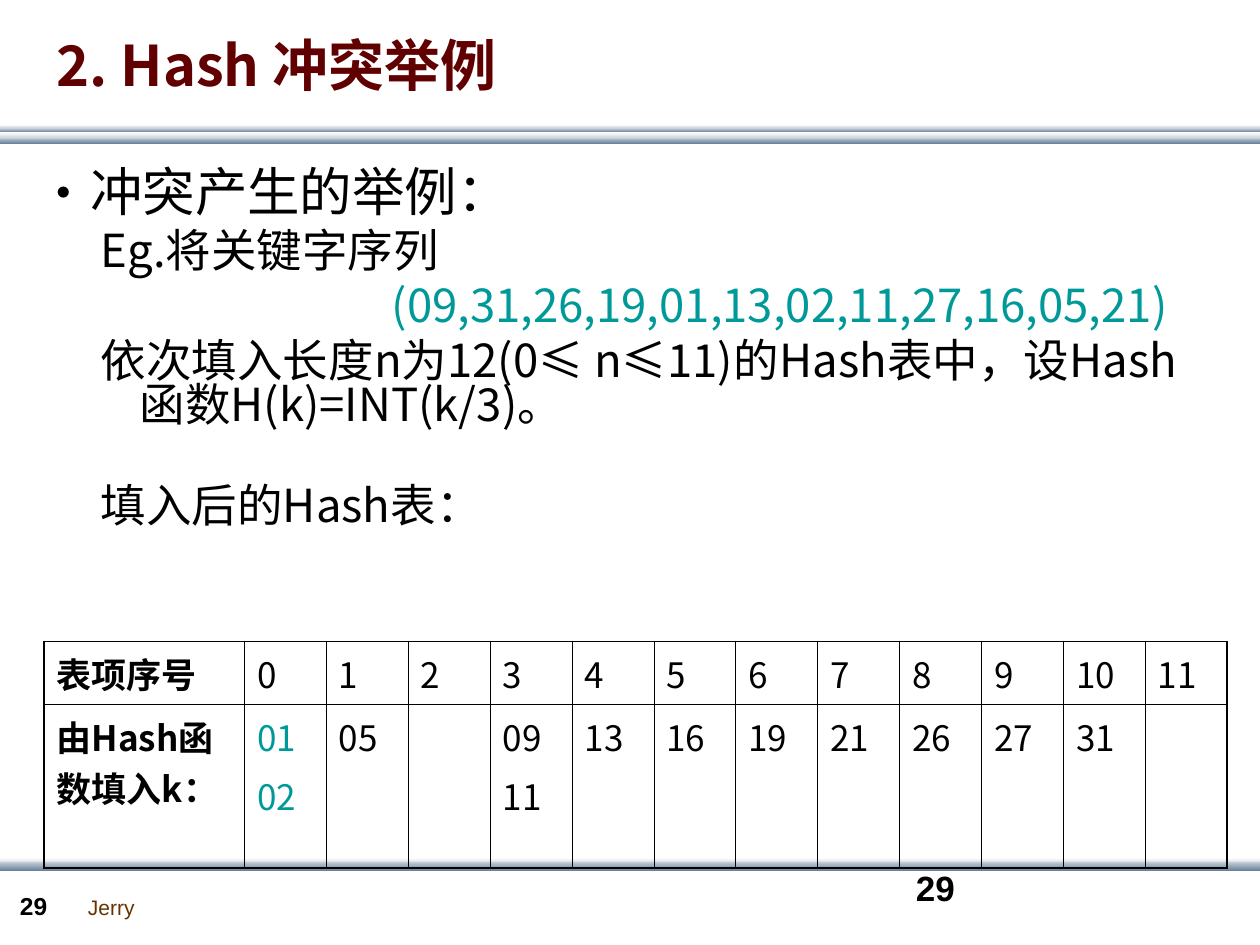
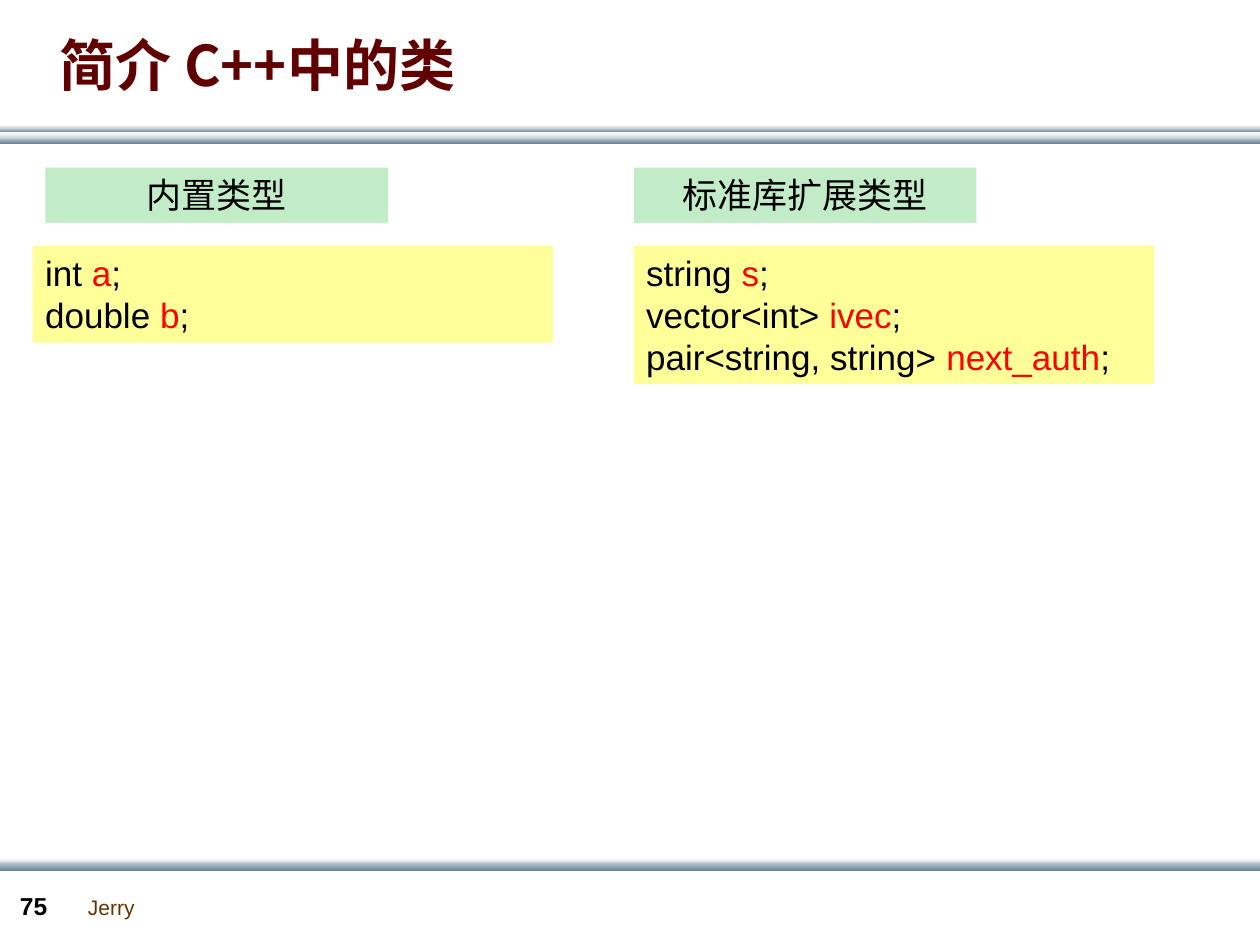
import lxml.etree
import pptx
import pptx.dml.color
import pptx.enum.shapes
import pptx.enum.text
import pptx.oxml.ns
import pptx.util

Inches = pptx.util.Inches
Pt = pptx.util.Pt
ALIGN = pptx.enum.text.PP_ALIGN
ANCHOR = pptx.enum.text.MSO_ANCHOR
RECT = pptx.enum.shapes.MSO_SHAPE.RECTANGLE
qn = pptx.oxml.ns.qn

CJK = "Noto Sans CJK SC"
COLORS = {
    "title": "600000",
    "text": "000000",
    "keys": "009999",
    "variable": "FF0000",
    "author": "663300",
    "label": "C2EBC7",
    "code": "FFFF99",
    "white": "FFFFFF",
    "light": "C8D1DA",
    "steel": "6A839C",
}


def rgb(name):
    return pptx.dml.color.RGBColor.from_string(COLORS[name])


def write(tf, text, size=20, font=CJK, color="text", bold=False, align=ALIGN.LEFT,
          before=0, spacing=None, left=0, indent=0, bullet=None, new=False):
    p = tf.add_paragraph() if new else tf.paragraphs[0]
    pPr = p._p.get_or_add_pPr()
    pPr.set("marL", str(Inches(left)))
    pPr.set("indent", str(Inches(indent)))
    if bullet:
        lxml.etree.SubElement(pPr, qn("a:buFont")).set("typeface", CJK)
        lxml.etree.SubElement(pPr, qn("a:buChar")).set("char", bullet)
    else:
        lxml.etree.SubElement(pPr, qn("a:buNone"))
    p.alignment = align
    p.space_before = Pt(before)
    if spacing:
        p.line_spacing = spacing
    for words, tint in [(text, color)] if isinstance(text, str) else text:
        r = p.add_run()
        r.text = words
        r.font.size = Pt(size)
        r.font.bold = bold
        r.font.color.rgb = rgb(tint)
        r.font.name = font
        lxml.etree.SubElement(r._r.get_or_add_rPr(), qn("a:ea")).set("typeface", CJK)


prs = pptx.Presentation()
prs.slide_width = Inches(10)
prs.slide_height = Inches(7.5)

bands = [
    (1.09, 0.05, "light", "steel"),
    (1.02, 0.03, "light", "steel"),
    (1.05, 0.05, "white", "light"),
    (0.99, 0.03, "white", "light"),
    (6.81, 0.05, "white", "light"),
    (6.84, 0.07, "light", "steel"),
]
pages = [
    ("2. Hash 冲突举例", "29", (0.35, 0.16, 9, 0.69)),
    ("简介 C++中的类", "75", (0.37, 0.04, 9, 0.93)),
]
for title, number, place in pages:
    s = prs.slides.add_slide(prs.slide_layouts[5])
    for top, height, start, end in bands:
        sp = s.shapes.add_shape(RECT, 0, Inches(top), Inches(10.01), Inches(height))
        sp.shadow.inherit = False
        sp.line.fill.background()
        sp.fill.gradient()
        sp.fill.gradient_angle = 270
        for stop, name, position in zip(sp.fill.gradient_stops, (start, end), (0, 1)):
            stop.color.rgb = rgb(name)
            stop.position = position

    author = s.shapes.add_textbox(Inches(0.6), Inches(7.05), Inches(0.57), Inches(0.3))
    write(author.text_frame, "Jerry", size=12, font="Arial", color="author")
    page = s.shapes.add_textbox(Inches(0.06), Inches(7.02), Inches(0.55), Inches(0.34))
    page.text_frame.word_wrap = True
    write(page.text_frame, number, size=14, font="Arial", bold=True)

    sp = s.shapes.title
    sp.left, sp.top, sp.width, sp.height = [Inches(v) for v in place]
    sp.text_frame.vertical_anchor = ANCHOR.MIDDLE
    write(sp.text_frame, title, size=32, color="title", bold=True)

hash_slide, class_slide = prs.slides

sp = hash_slide.shapes.add_textbox(Inches(7.17), Inches(6.83), Inches(2.33), Inches(0.5))
sp.text_frame.word_wrap = True
write(sp.text_frame, "29", font="Arial", bold=True)

sp = hash_slide.shapes.add_textbox(Inches(0.2), Inches(1.31), Inches(9.45), Inches(3.54))
tf = sp.text_frame
tf.word_wrap = True
write(tf, "冲突产生的举例：", size=30, spacing=0.8, left=0.38, indent=-0.38, bullet="•")
example = [
    ("Eg.将关键字序列", "text", 0.81, -0.31, 6.5),
    ("(09,31,26,19,01,13,02,11,27,16,05,21)", "keys", 2.81, 0, 6.5),
    ("依次填入长度n为12(0≤ n≤11)的Hash表中，设Hash函数H(k)=INT(k/3)。",
     "text", 0.81, -0.31, 6.5),
    ("填入后的Hash表：", "text", 0.81, -0.31, 33),
]
for text, color, left, indent, before in example:
    write(tf, text, size=26, color=color, spacing=0.8, left=left, indent=indent,
          before=before, new=True)

hash_rows = [
    ["表项序号"] + [str(i) for i in range(12)],
    ["由Hash函数填入k：", "01 02", "05", "", "09 11", "13", "16", "19", "21", "26",
     "27", "31", ""],
]
frame = hash_slide.shapes.add_table(2, 13, Inches(0.35), Inches(5.09), Inches(9.39),
                                    Inches(1.8))
table = frame.table
table.first_row = table.horz_banding = False
for i, column in enumerate(table.columns):
    column.width = Inches(0.65 if i else 1.59)
for row, height in zip(table.rows, (0.5, 1.3)):
    row.height = Inches(height)
for i, values in enumerate(hash_rows):
    for j, value in enumerate(values):
        cell = table.cell(i, j)
        tcPr = cell._tc.get_or_add_tcPr()
        outer = {"lnL": j == 0, "lnR": j == 12, "lnT": i == 0, "lnB": i == 1}
        for side, is_outer in outer.items():
            ln = lxml.etree.SubElement(tcPr, qn("a:" + side))
            ln.set("w", str(Pt(1.08 if is_outer else 0.45)))
            fill = lxml.etree.SubElement(ln, qn("a:solidFill"))
            lxml.etree.SubElement(fill, qn("a:srgbClr")).set("val", COLORS["text"])
        cell.fill.background()
        cell.margin_left = cell.margin_right = Inches(0.1)
        cell.margin_top = cell.margin_bottom = Inches(0.05)
        color = "keys" if value == "01 02" else "text"
        for k, key in enumerate(value.split()):
            write(cell.text_frame, key, color=color, bold=j == 0,
                  before=5 if k else 0, new=k > 0)

type_groups = [
    (0.36, 0.26, 0.77, "内置类型", [("int ", "a"), ("double ", "b")]),
    (5.03, 5.03, 1.1, "标准库扩展类型",
     [("string ", "s"), ("vector<int> ", "ivec"),
      ("pair<string, string> ", "next_auth")]),
]
for label_left, code_left, code_height, label, declarations in type_groups:
    boxes = [
        ("label", label_left, 1.33, 2.72, 0.44, "Times New Roman", ALIGN.CENTER, [label]),
        ("code", code_left, 1.95, 4.13, code_height, "Arial", ALIGN.LEFT,
         [[(kind, "text"), (name, "variable"), (";", "text")]
          for kind, name in declarations]),
    ]
    for fill, left, top, width, height, font, align, lines in boxes:
        sp = class_slide.shapes.add_shape(RECT, Inches(left), Inches(top), Inches(width),
                                          Inches(height))
        sp.shadow.inherit = False
        sp.fill.solid()
        sp.fill.fore_color.rgb = rgb(fill)
        sp.line.fill.background()
        tf = sp.text_frame
        tf.word_wrap = True
        tf.vertical_anchor = ANCHOR.TOP
        for k, line in enumerate(lines):
            write(tf, line, font=font, align=align, new=k > 0)

prs.save("out.pptx")
